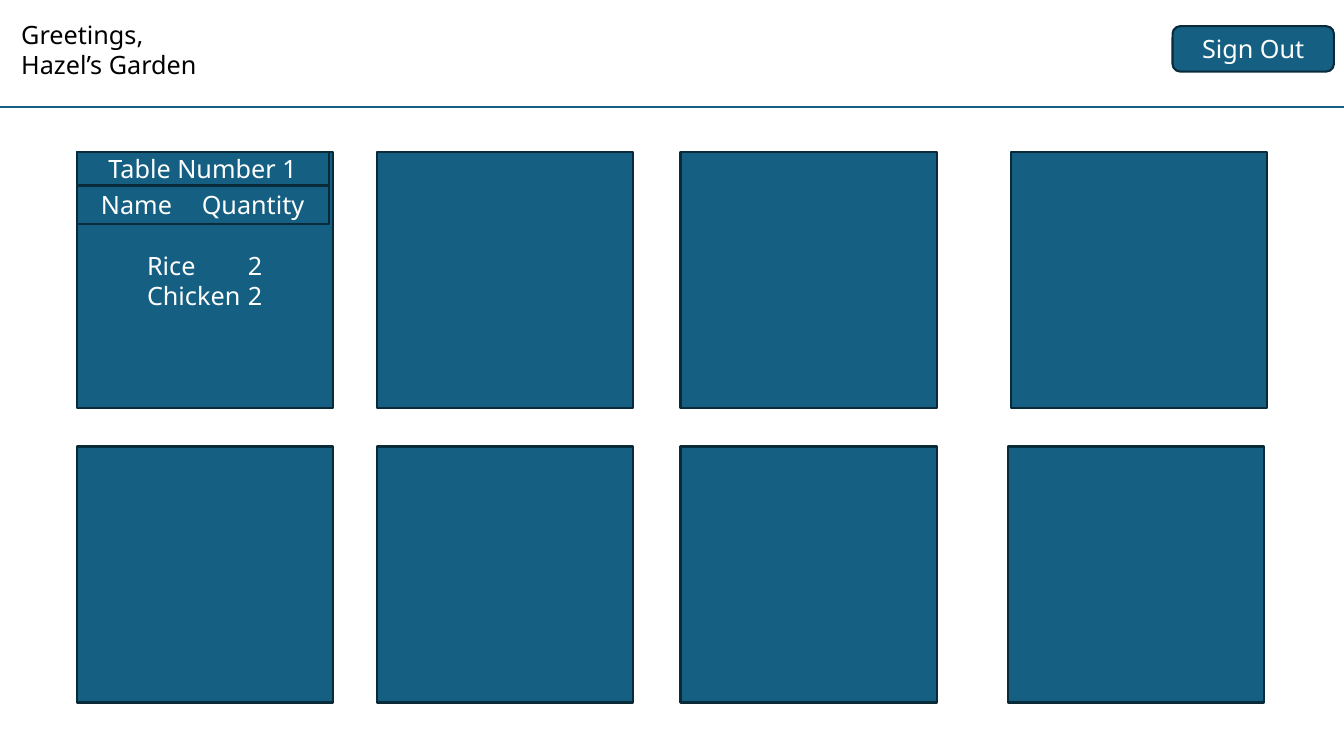
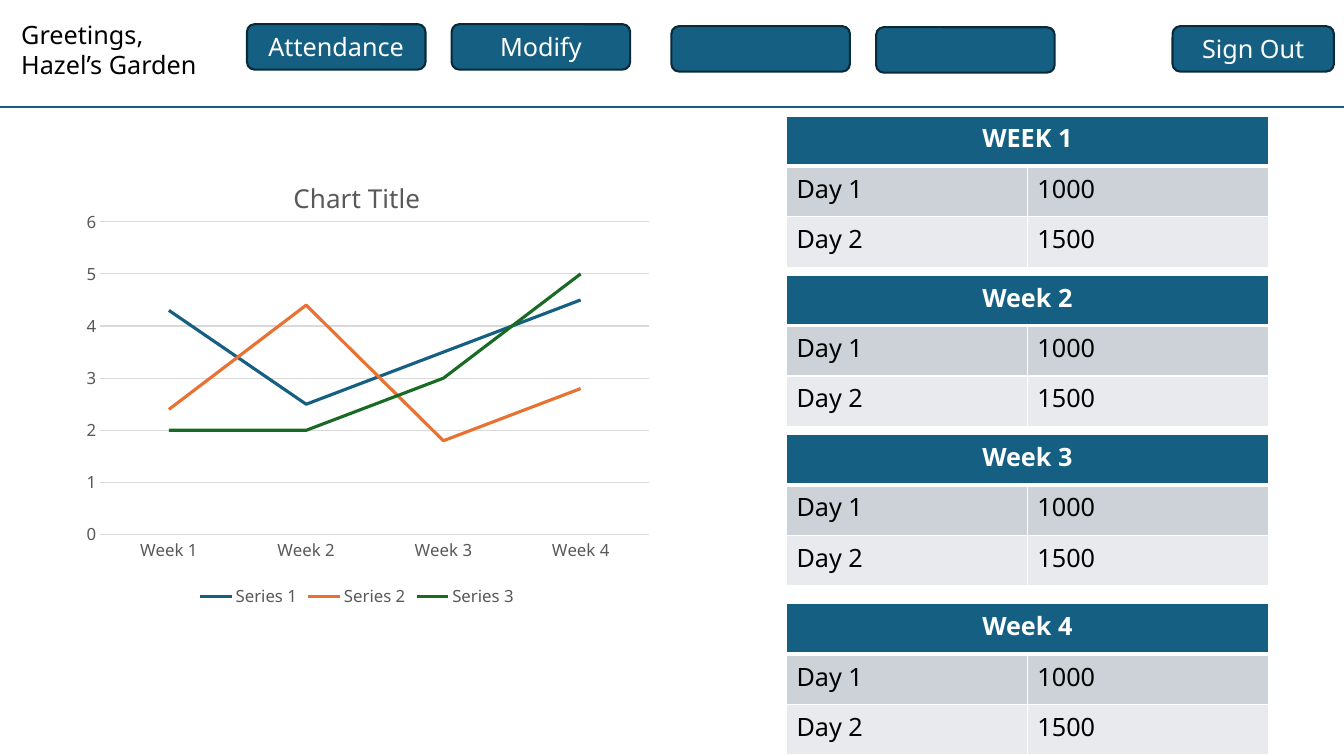
from dataclasses import dataclass
from typing import NamedTuple

from lxml import etree
from pptx import Presentation
from pptx import util as u
from pptx.chart.data import CategoryChartData
from pptx.dml.color import RGBColor
from pptx.enum import chart as ch, shapes, text
from pptx.oxml import parse_xml
from pptx.oxml.ns import nsdecls, qn
from pptx.util import Inches, Pt


@dataclass(frozen=True)
class Theme:
    font: str = "Noto Sans"
    primary: RGBColor = RGBColor(0x15, 0x60, 0x82)
    outline: RGBColor = RGBColor(0x09, 0x2A, 0x39)
    orange: RGBColor = RGBColor(0xE9, 0x71, 0x32)
    green: RGBColor = RGBColor(0x19, 0x6B, 0x24)
    white: RGBColor = RGBColor(0xFF, 0xFF, 0xFF)
    black: RGBColor = RGBColor(0, 0, 0)
    grey: RGBColor = RGBColor(0x59, 0x59, 0x59)
    grid: RGBColor = RGBColor(0xD9, 0xD9, 0xD9)
    band_dark: RGBColor = RGBColor(0xCC, 0xD2, 0xD8)
    band_light: RGBColor = RGBColor(0xE8, 0xEA, 0xED)
    body: u.Length = Pt(18)
    chart_title: u.Length = Pt(18.6)
    chart_label: u.Length = Pt(12)
    line: u.Length = Pt(1.5)


T = Theme()
RECT = shapes.MSO_SHAPE.RECTANGLE
ROUNDED = shapes.MSO_SHAPE.ROUNDED_RECTANGLE
CENTER = text.PP_ALIGN.CENTER
LEFT = text.PP_ALIGN.LEFT


class Box(NamedTuple):
    left: float
    top: float
    width: float
    height: float
    lines: tuple[str, ...] = ()
    kind: shapes.MSO_SHAPE = RECT


class Series(NamedTuple):
    name: str
    values: tuple[float, ...]
    color: RGBColor


class Week(NamedTuple):
    title: str
    top: float


SIGN_OUT = Box(11.63, 0.26, 1.6, 0.45, ("Sign Out",), ROUNDED)

CARD = 2.54
CARD_ROWS = {1.51: (0.76, 3.74, 6.75, 10.03), 4.43: (0.76, 3.74, 6.75, 10)}
ORDER_LINES = ("Rice\t2", "Chicken \t2")
ORDER_HEADINGS = (
    Box(0.76, 1.51, 2.5, 0.33, ("Table Number 1",)),
    Box(0.76, 1.84, 2.5, 0.38, ("Name\tQuantity",)),
)

NAV_BUTTONS = [
    Box(left, top, 1.77, 0.45, lines, ROUNDED)
    for left, top, lines in (
        (2.45, 0.24, ("Attendance",)),
        (4.48, 0.24, ("Modify",)),
        (6.66, 0.26, ()),
        (8.69, 0.27, ()),
    )
]

CATEGORIES = ("Week 1", "Week 2", "Week 3", "Week 4")
SERIES = (
    Series("Series 1", (4.3, 2.5, 3.5, 4.5), T.primary),
    Series("Series 2", (2.4, 4.4, 1.8, 2.8), T.orange),
    Series("Series 3", (2, 2, 3, 5), T.green),
)
PLOT_AREA = {"x": 0.07, "y": 0.14, "w": 0.92, "h": 0.69}

WEEKS = (Week("WEEK 1", 1.15), Week("Week 2", 2.73),
         Week("Week 3", 4.31), Week("Week 4", 5.99))
DAYS = (("Day 1", "1000"), ("Day 2", "1500"))


def style_font(font, size: u.Length, color: RGBColor, bold: bool = False) -> None:
    font.name, font.size, font.bold = T.font, size, bold
    font.color.rgb = color


def write_lines(tf, lines: tuple[str, ...], color: RGBColor,
                align=CENTER, bold: bool = False) -> None:
    for i, line in enumerate(lines):
        p = tf.add_paragraph() if i else tf.paragraphs[0]
        p.alignment = align
        r = p.add_run()
        r.text = line
        style_font(r.font, T.body, color, bold)
        if "\t" in line:
            p._p.get_or_add_pPr().append(parse_xml(
                f'<a:tabLst {nsdecls("a")}>'
                f'<a:tab pos="{Inches(1)}" algn="l"/></a:tabLst>'))


def add_box(s, box: Box) -> None:
    sp = s.shapes.add_shape(box.kind, Inches(box.left), Inches(box.top),
                            Inches(box.width), Inches(box.height))
    sp.shadow.inherit = False
    sp.fill.solid()
    sp.fill.fore_color.rgb = T.primary
    sp.line.color.rgb = T.outline
    sp.line.width = T.line
    sp.text_frame.vertical_anchor = text.MSO_ANCHOR.MIDDLE
    write_lines(sp.text_frame, box.lines, T.white)


def add_page(prs):
    """Add a slide with the shared rule, greeting and sign-out button."""
    s = prs.slides.add_slide(prs.slide_layouts[5])
    rule = s.shapes.add_connector(shapes.MSO_CONNECTOR.STRAIGHT, 0, Inches(1.06),
                                  prs.slide_width, Inches(1.06))
    rule.line.color.rgb = T.primary
    rule.line.width = T.line
    etree.SubElement(rule._element.spPr, qn("a:effectLst"))

    title = s.shapes.title
    title.left, title.top = Inches(0.11), Inches(0.14)
    title.width, title.height = Inches(2.06), Inches(0.71)
    tf = title.text_frame
    tf.word_wrap = True
    tf.auto_size = text.MSO_AUTO_SIZE.SHAPE_TO_FIT_TEXT
    tf.vertical_anchor = text.MSO_ANCHOR.TOP
    write_lines(tf, ("Greetings,", "Hazel’s Garden"), T.black, LEFT)
    add_box(s, SIGN_OUT)
    return s


def add_line_chart(s) -> None:
    data = CategoryChartData()
    data.categories = CATEGORIES
    for series in SERIES:
        data.add_series(series.name, series.values)
    chart = s.shapes.add_chart(ch.XL_CHART_TYPE.LINE, Inches(0.58), Inches(1.57),
                               Inches(5.92), Inches(4.5), data).chart
    style_font(chart.font, T.chart_label, T.grey)

    chart.has_title = True
    r = chart.chart_title.text_frame.paragraphs[0].add_run()
    r.text = "Chart Title"
    style_font(r.font, T.chart_title, T.grey)
    chart.chart_title.include_in_layout = False

    chart.has_legend = True
    chart.legend.position = ch.XL_LEGEND_POSITION.BOTTOM
    chart.legend.include_in_layout = False
    style_font(chart.legend.font, T.chart_label, T.grey)

    for axis in (chart.category_axis, chart.value_axis):
        axis.major_tick_mark = axis.minor_tick_mark = ch.XL_TICK_MARK.NONE
        style_font(axis.tick_labels.font, T.chart_label, T.grey)
    chart.value_axis.has_major_gridlines = True
    chart.value_axis.format.line.fill.background()
    for line in (chart.category_axis.format.line,
                 chart.value_axis.major_gridlines.format.line):
        line.color.rgb = T.grid
        line.width = Pt(0.75)

    plot = chart.plots[0]
    plot.vary_by_categories = False
    for drawn, series in zip(plot.series, SERIES):
        drawn.smooth = False
        drawn.format.line.color.rgb = series.color
        drawn.format.line.width = Pt(2.25)
    place_plot(chart)


def place_plot(chart) -> None:
    """Fix the inner plot area at fractions of the chart frame."""
    area = chart._chartSpace.chart.plotArea
    for old in area.findall(qn("c:layout")):
        area.remove(old)
    modes = "".join(f'<c:{k}Mode val="edge"/>' for k in "xy")
    sizes = "".join(f'<c:{k} val="{v}"/>' for k, v in PLOT_AREA.items())
    area.insert(0, parse_xml(
        f'<c:layout {nsdecls("c")}><c:manualLayout>'
        f'<c:layoutTarget val="inner"/>{modes}{sizes}'
        f'</c:manualLayout></c:layout>'))


def style_cell(cell, fill: RGBColor, top: float = 1, bottom: float = 1) -> None:
    """Give a cell white borders (widths in points) and a solid fill."""
    tcPr = cell._tc.get_or_add_tcPr()
    for side, width in zip("LRTB", (1, 1, top, bottom)):
        tcPr.append(parse_xml(
            f'<a:ln{side} {nsdecls("a")} w="{Pt(width)}"><a:solidFill>'
            f'<a:srgbClr val="{T.white}"/></a:solidFill></a:ln{side}>'))
    cell.fill.solid()
    cell.fill.fore_color.rgb = fill


def add_week_table(s, week: Week) -> None:
    table = s.shapes.add_table(len(DAYS) + 1, 2, Inches(7.8), Inches(week.top),
                               Inches(4.78), Inches(1.5)).table
    head = table.cell(0, 0)
    head.merge(table.cell(0, 1))
    write_lines(head.text_frame, (week.title,), T.white, bold=True)
    for cell in table.rows[0].cells:
        style_cell(cell, T.primary, bottom=3)
    for row, values in enumerate(DAYS, start=1):
        for col, value in enumerate(values):
            cell = table.cell(row, col)
            write_lines(cell.text_frame, (value,), T.black, LEFT)
            style_cell(cell, T.band_dark if row % 2 else T.band_light,
                       top=3 if row == 1 else 1)


def add_orders_slide(prs) -> None:
    s = add_page(prs)
    for row, (top, lefts) in enumerate(CARD_ROWS.items()):
        for col, left in enumerate(lefts):
            lines = ORDER_LINES if row == col == 0 else ()
            add_box(s, Box(left, top, CARD, CARD, lines))
    for heading in ORDER_HEADINGS:
        add_box(s, heading)


def add_dashboard_slide(prs) -> None:
    s = add_page(prs)
    add_line_chart(s)
    for week in WEEKS:
        add_week_table(s, week)
    for button in NAV_BUTTONS:
        add_box(s, button)


def main() -> None:
    prs = Presentation()
    prs.slide_width, prs.slide_height = Inches(13.33), Inches(7.5)
    add_orders_slide(prs)
    add_dashboard_slide(prs)
    prs.save("out.pptx")


if __name__ == "__main__":
    main()
